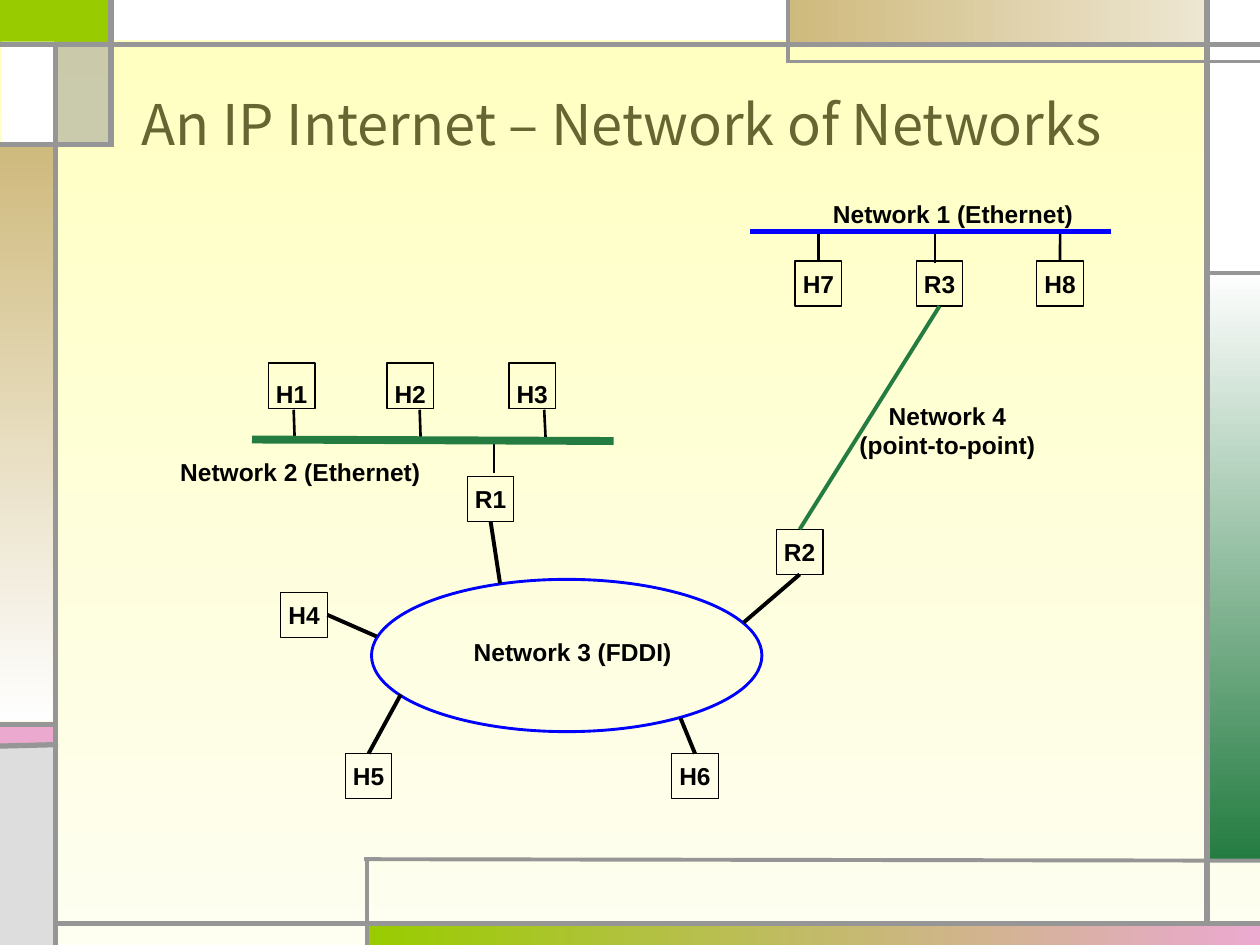
from lxml.etree import SubElement
from pptx import Presentation
from pptx.dml.color import RGBColor
from pptx.enum.shapes import MSO_CONNECTOR, MSO_SHAPE
from pptx.enum.text import MSO_ANCHOR, PP_ALIGN
from pptx.oxml.ns import qn
from pptx.util import Cm, Pt

BLACK, BLUE, GREEN, GREY = "000000", "0000FF", "247C41", "969696"
TOP, LEFT, BOTTOM, RIGHT = range(4)
DOWN, ACROSS = 270, 0

BACKGROUND = ("FFFFBF", "FEFEF1", DOWN)
PANELS = [
    (0, 0, 2.21, 0.86, "99CC00"),
    (7.42, 18.62, 17.98, 0.43, ("99CC00", "EBA9D0", ACROSS)),
    (24.33, 5.51, 1.07, 11.84, ("FEFEFE", GREEN, DOWN)),
    (0, 14.61, 1.07, 0.43, "EBA9D0"),
    (0, 15.06, 1.07, 3.99, "DDDDDD"),
    (24.33, 0, 1.07, 5.49, "FFFFFF"),
    (15.88, 0, 8.46, 0.84, ("CFBA7D", "EDE6D2", ACROSS)),
    (1.17, 0.84, 1.07, 2.08, GREY),
    (0, 2.92, 1.07, 11.61, ("CFBA7D", "FEFEFE", DOWN)),
    (0.03, 0.84, 1.07, 2.08, "FFFFFF"),
    (2.18, 0, 13.69, 0.81, "FFFFFF"),
]
SHEER_PANEL = 7
RULES = {
    3: [
        (1.12, 19.05, 1.12, 0.84),
        (1.12, 18.62, 25.4, 18.62),
        (24.33, 18.62, 24.33, 0),
        (0, 0.89, 25.4, 0.89),
        (2.24, 0, 2.24, 2.97),
        (2.18, 2.92, 0, 2.92),
        (1.17, 14.61, 0, 14.61),
        (1.17, 15.01, 0, 15.04),
    ],
    2.25: [
        (25.4, 1.24, 15.88, 1.24),
        (15.88, 1.27, 15.88, 0),
        (24.33, 5.51, 25.4, 5.51),
        (7.39, 19.05, 7.39, 17.3),
        (7.34, 17.32, 25.4, 17.35),
    ],
}

TITLE = "An IP Internet – Network of Networks"
TITLE_FONT = {"name": "Noto Sans CJK KR", "size": Pt(32), "bold": False}
LABEL_FONT = {"name": "Arial", "size": Pt(14), "bold": True}
LABELS = [
    ("Network 1 (Ethernet)", 16.79, 4.01, 4.85, 0.58),
    ("Network 2 (Ethernet)", 3.63, 9.22, 4.85, 0.58),
    ("Network 3 (FDDI)", 9.55, 12.85, 3.99, 0.58),
    ("Network 4\n(point-to-point)", 17.32, 8.08, 3.56, 1.17),
]

NODE_WIDTH, NODE_HEIGHT = 0.94, 0.91
NODES = {
    "H7": (16.03, 5.26), "R3": (18.47, 5.26), "H8": (20.9, 5.26),
    "H1": (5.41, 7.32), "H2": (7.8, 7.32), "H3": (10.26, 7.32),
    "R1": (9.42, 9.6), "R2": (15.65, 10.67),
    "H4": (5.66, 11.94), "H5": (6.96, 15.19), "H6": (13.54, 15.19),
}
LOW_TEXT_NODES = ("H1", "H2", "H3")
RING = (7.49, 11.68, 7.87, 3.07)
BUSES = [
    (5.08, 8.86, 12.37, 8.89, GREEN, 4.5),
    (22.4, 4.67, 15.11, 4.67, BLUE, 3),
]
STUBS = [
    (5.92, 8.26, 5.94, 8.86),
    (8.46, 8.26, 8.48, 8.86),
    (10.97, 8.26, 11, 8.86),
    (9.96, 8.89, 9.96, 9.53),
    (18.85, 5.31, 18.85, 4.65),
]
NODE_LINKS = [
    ("H7", TOP, 16.5, 4.65, 1.5),
    ("H8", TOP, 21.37, 4.67, 1.5),
    ("R1", BOTTOM, 10.08, 11.76, 2.25),
    ("R2", BOTTOM, 14.99, 12.55, 2.25),
    ("H4", RIGHT, 7.59, 12.83, 2.25),
    ("H5", TOP, 8.08, 14, 2.25),
    ("H6", TOP, 13.72, 14.48, 2.25),
]


def color(value):
    return RGBColor.from_string(value)


def paint(fill, value):
    if isinstance(value, str):
        fill.solid()
        fill.fore_color.rgb = color(value)
        return
    first, last, angle = value
    fill.gradient()
    fill.gradient_angle = angle
    for stop, shade in zip(fill.gradient_stops, (first, last)):
        stop.color.rgb = color(shade)


def add_outline(page, kind, frame, line_color, width):
    shape = page.shapes.add_shape(kind, *map(Cm, frame))
    shape.shadow.inherit = False
    shape.fill.background()
    shape.line.color.rgb = color(line_color)
    shape.line.width = Pt(width)
    return shape


def add_line(page, ends, line_color, width):
    line = page.shapes.add_connector(MSO_CONNECTOR.STRAIGHT, *map(Cm, ends))
    line.line.color.rgb = color(line_color)
    line.line.width = Pt(width)
    SubElement(line.element.spPr, qn("a:effectLst"))
    return line


def write(box, text, font, font_color, anchor, wrap=False):
    frame = box.text_frame
    frame.text = text
    layout = {"word_wrap": wrap, "vertical_anchor": anchor, "margin_left": 0,
              "margin_top": 0, "margin_right": 0, "margin_bottom": 0}
    for name, value in layout.items():
        setattr(frame, name, value)
    for para in frame.paragraphs:
        para.alignment = PP_ALIGN.CENTER
        for span in para.runs:
            for name, value in font.items():
                setattr(span.font, name, value)
            span.font.color.rgb = color(font_color)


def add_template(page):
    paint(page.background.fill, BACKGROUND)
    for index, (*frame, fill) in enumerate(PANELS):
        panel = page.shapes.add_shape(MSO_SHAPE.RECTANGLE, *map(Cm, frame))
        panel.shadow.inherit = False
        panel.line.fill.background()
        paint(panel.fill, fill)
        if index == SHEER_PANEL:
            shade = panel.element.spPr.find(".//" + qn("a:srgbClr"))
            SubElement(shade, qn("a:alpha"), val="50000")
    for width, rules in RULES.items():
        for ends in rules:
            add_line(page, ends, GREY, width)


def add_network(page):
    add_outline(page, MSO_SHAPE.OVAL, RING, BLUE, 1.64)
    nodes = {}
    for name, corner in NODES.items():
        frame = (*corner, NODE_WIDTH, NODE_HEIGHT)
        nodes[name] = add_outline(page, MSO_SHAPE.RECTANGLE, frame, BLACK, 0.75)
        anchor = MSO_ANCHOR.BOTTOM if name in LOW_TEXT_NODES else MSO_ANCHOR.MIDDLE
        write(nodes[name], name, LABEL_FONT, BLACK, anchor)
    for ends in STUBS:
        add_line(page, ends, BLACK, 1.5)
    for name, side, x, y, width in NODE_LINKS:
        add_line(page, (x, y, x, y), BLACK, width).begin_connect(nodes[name], side)
    point_to_point = add_line(page, (0, 0, 0, 0), GREEN, 2.25)
    point_to_point.begin_connect(nodes["R3"], BOTTOM)
    point_to_point.end_connect(nodes["R2"], TOP)
    for *ends, line_color, width in BUSES:
        add_line(page, ends, line_color, width)
    for text, *frame in LABELS:
        box = page.shapes.add_textbox(*map(Cm, frame))
        write(box, text, LABEL_FONT, BLACK, MSO_ANCHOR.TOP)


def main():
    deck = Presentation()
    deck.slide_width, deck.slide_height = Cm(25.4), Cm(19.05)
    page = deck.slides.add_slide(deck.slide_layouts[6])
    add_template(page)
    title = page.shapes.add_textbox(Cm(1.11), Cm(0.9), Cm(22.86), Cm(3.18))
    write(title, TITLE, TITLE_FONT, "666633", MSO_ANCHOR.MIDDLE, wrap=True)
    add_network(page)
    deck.save("out.pptx")


if __name__ == "__main__":
    main()
